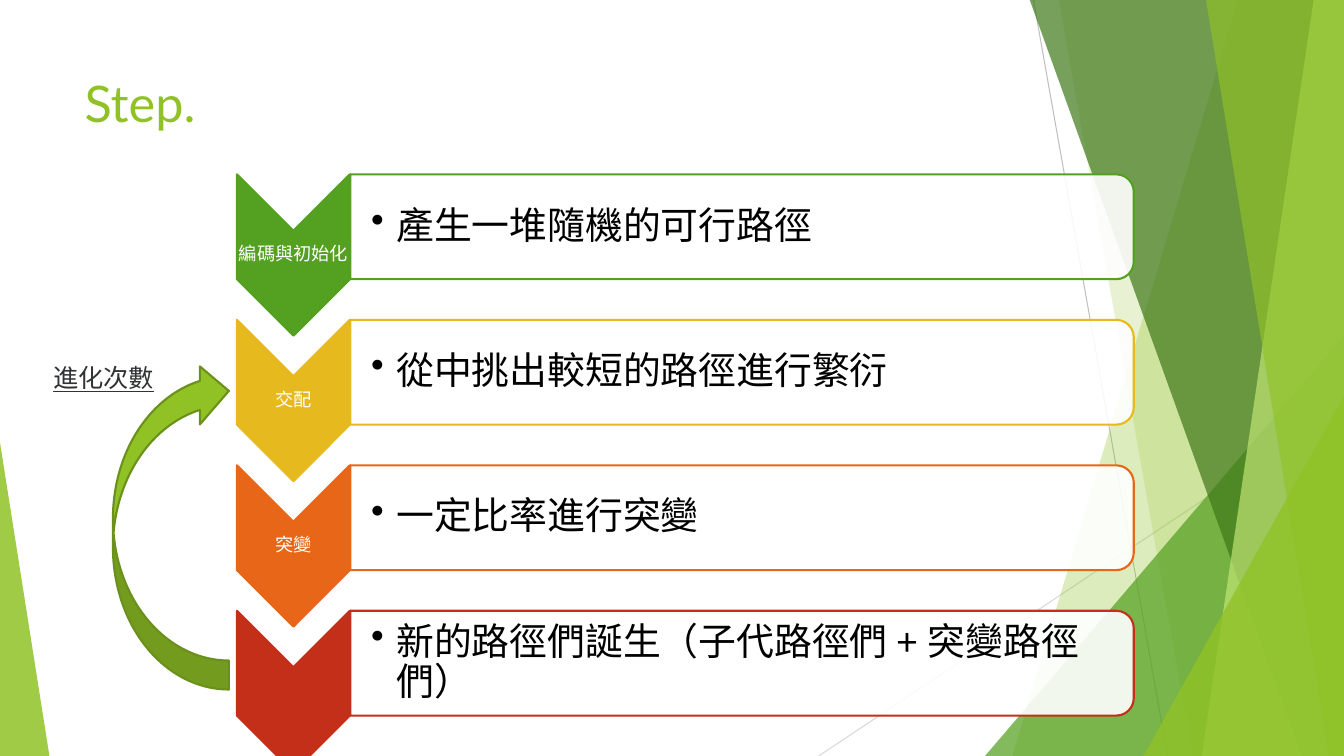
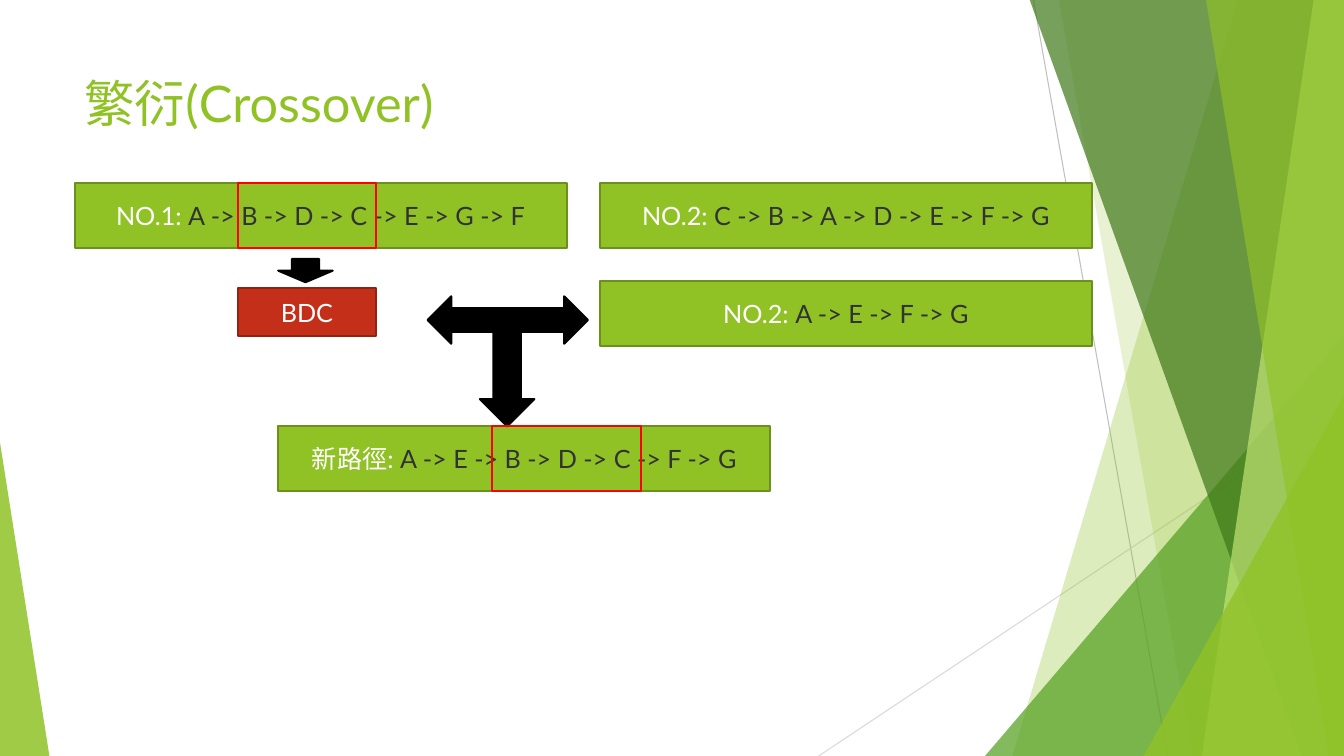
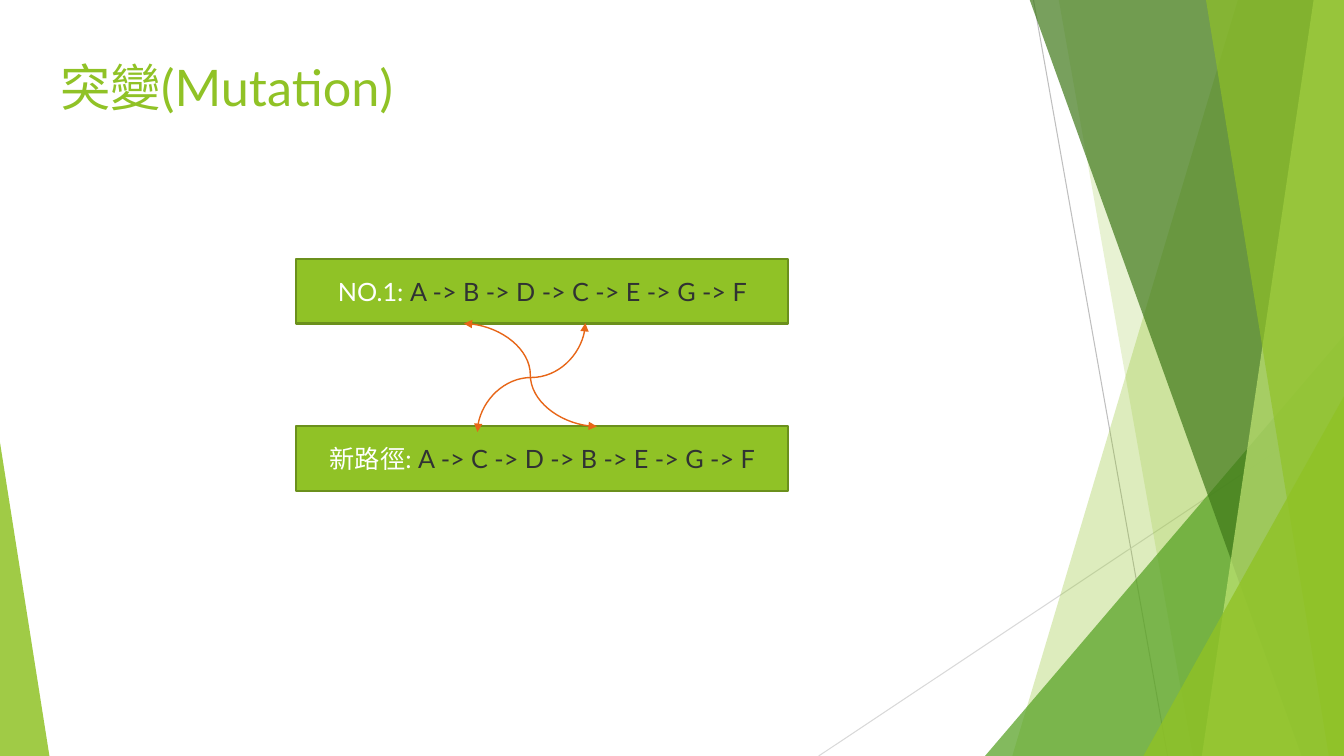
from lxml import etree
from pptx import Presentation
from pptx.dml.color import RGBColor
from pptx.enum.shapes import MSO_CONNECTOR, MSO_SHAPE
from pptx.enum.text import MSO_ANCHOR, PP_ALIGN
from pptx.oxml.ns import qn
from pptx.util import Inches, Pt

RECTANGLE, TRIANGLE = MSO_SHAPE.RECTANGLE, MSO_SHAPE.ISOSCELES_TRIANGLE
CHEVRON, ROUND_TOP = MSO_SHAPE.CHEVRON, MSO_SHAPE.ROUND_2_SAME_RECTANGLE
LOOP_ARROW = MSO_SHAPE.CURVED_LEFT_ARROW
DOWN_ARROW, TWO_WAY_ARROW = MSO_SHAPE.DOWN_ARROW, MSO_SHAPE.LEFT_RIGHT_ARROW
STRAIGHT, CURVE = MSO_CONNECTOR.STRAIGHT, MSO_CONNECTOR.CURVE
TOP, MIDDLE = MSO_ANCHOR.TOP, MSO_ANCHOR.MIDDLE
LEFT, CENTER = PP_ALIGN.LEFT, PP_ALIGN.CENTER

FONT = "Lato"
LIME = RGBColor(0x90, 0xC2, 0x26)
LIME_EDGE = RGBColor(0x6B, 0x90, 0x1C)
PALE_LIME = RGBColor(0xC0, 0xE4, 0x74)
GREEN = RGBColor(0x54, 0xA0, 0x21)
FOREST = RGBColor(0x3F, 0x78, 0x19)
GOLD = RGBColor(0xE6, 0xB9, 0x1E)
ORANGE = RGBColor(0xE7, 0x66, 0x18)
BRICK = RGBColor(0xC4, 0x2F, 0x1A)
BRICK_EDGE = RGBColor(0x91, 0x23, 0x13)
RED = RGBColor(0xFF, 0x00, 0x00)
INK = RGBColor(0x30, 0x32, 0x33)
BLACK = RGBColor(0, 0, 0)
WHITE = RGBColor(0xFF, 0xFF, 0xFF)
GRAY = RGBColor(0xBF, 0xBF, 0xBF)
LIGHT_GRAY = RGBColor(0xD9, 0xD9, 0xD9)

# Content: backdrop shared by every slide
BACKDROP_LINES = [((10.25, 0), (11.58, 7.5), GRAY), ((13.33, 4.03), (8.12, 7.5), LIGHT_GRAY)]
# Bands run to the right edge: top-left x, bottom-left x, colour, opacity
# Triangles: box, apex position, colour, opacity
BACKDROP_FACETS = [
    ("band", (12.28, 10.04), LIME, 30),
    ("band", (10.5, 11.83), LIME, 20),
    ("triangle", ((9.77, 3.33, 3.56, 4.17), 1), GREEN, 72),
    ("band", (10.21, 12.91), FOREST, 70),
    ("band", (13.03, 11.92), PALE_LIME, 70),
    ("band", (11.96, 13.18), LIME, 65),
    ("triangle", ((11.34, 3.93, 1.99, 3.57), 1), LIME, 80),
    ("triangle", ((0, 4.39, 0.49, 3.11), 0), LIME, 85),
]

# Content: slide 1
STEPS = [
    ("編碼與初始化", "產生一堆隨機的可行路徑", GREEN),
    ("交配", "從中挑出較短的路徑進行繁衍", GOLD),
    ("突變", "一定比率進行突變", ORANGE),
    ("", "新的路徑們誕生(子代路徑們 + 突變路徑們)".replace("(", "（").replace(")", "）"), BRICK),
]
STEP_TOP, STEP_PITCH = 2.53, 4.33 / 3
CHEVRON_X, PANEL_X, PANEL_RISE = 2.91, 7.36, 0.28

# Content: slides 2 and 3, routes as left, top, label, stops
ROUTE_SIZE = (4.88, 0.64)
CROSSOVER_ROUTES = [
    (0.74, 1.82, "NO.1: ", "ABDCEGF"),
    (5.95, 1.82, "NO.2: ", "CBADEFG"),
    (5.95, 2.79, "NO.2: ", "AEFG"),
    (2.76, 4.23, "新路徑: ", "AEBDCFG"),
]
CROSSOVER_ARROWS = [
    (DOWN_ARROW, (2.76, 2.57, 0.54, 0.23)),
    (TWO_WAY_ARROW, (4.24, 2.94, 1.59, 0.47)),
    (DOWN_ARROW, (4.76, 3.27, 0.54, 0.96)),
]
SEGMENT_FRAMES = [(2.36, 1.82, 1.37, 0.64), (4.88, 4.23, 1.48, 0.64)]
MUTATION_ROUTES = [
    (2.94, 2.57, "NO.1: ", "ABDCEGF"),
    (2.94, 4.23, "新路徑: ", "ACDBEGF"),
]
# Start, end, rotation in degrees
SWAP_CURVES = [((4.6, 3.21), (5.92, 4.23), 0), ((4.73, 3.21), (5.81, 4.28), 90)]


# Shared helpers
def centered(x, y, width, height):
    return x - width / 2, y - height / 2, width, height


def style_shape(shape, fill=None, edge=None, opacity=100):
    shape.shadow.inherit = False
    if fill is None:
        shape.fill.background()
    else:
        shape.fill.solid()
        shape.fill.fore_color.rgb = fill
        if opacity < 100:
            color = shape.fill._xPr.find(".//" + qn("a:srgbClr"))
            etree.SubElement(color, qn("a:alpha"), val=str(opacity * 1000))
    if edge is None:
        shape.line.fill.background()
    else:
        shape.line.color.rgb = edge
        shape.line.width = Pt(1.5)


def add_box(slide, kind, box, fill=None, edge=None, opacity=100, rotation=0):
    shape = slide.shapes.add_shape(kind, *map(Inches, box))
    shape.rotation = rotation
    style_shape(shape, fill, edge, opacity)
    return shape


def add_line(slide, kind, start, end, color, width):
    line = slide.shapes.add_connector(kind, *map(Inches, start + end))
    line.line.color.rgb = color
    line.line.width = Pt(width)
    etree.SubElement(line._element.spPr, qn("a:effectLst"))
    return line


def write(shape, runs, size, anchor=MIDDLE, align=CENTER, insets=None, wrap=True, **font_format):
    """Fill a shape with one paragraph of (text, colour) runs."""
    frame = shape.text_frame
    frame.word_wrap = wrap
    frame.vertical_anchor = anchor
    if insets:
        for side, inset in zip(("left", "top", "right", "bottom"), insets):
            setattr(frame, "margin_" + side, Inches(inset))
    paragraph = frame.paragraphs[0]
    paragraph.alignment = align
    for text, color in runs:
        run = paragraph.add_run()
        run.text = text
        run.font.color.rgb = color
        for name, value in {"name": FONT, "size": Pt(size), **font_format}.items():
            setattr(run.font, name, value)
    return paragraph


def add_text(slide, box, *args, **kwargs):
    return write(slide.shapes.add_textbox(*map(Inches, box)), *args, **kwargs)


def add_backdrop(slide):
    for start, end, color in BACKDROP_LINES:
        add_line(slide, STRAIGHT, start, end, color, 0.75)
    for kind, outline, color, opacity in BACKDROP_FACETS:
        if kind == "triangle":
            box, apex = outline
            add_box(slide, TRIANGLE, box, color, opacity=opacity).adjustments[0] = apex
            continue
        top_x, bottom_x = outline
        builder = slide.shapes.build_freeform(Inches(top_x), Inches(-0.01))
        corners = [(13.33, -0.01), (13.33, 7.5), (bottom_x, 7.5)]
        builder.add_line_segments([(Inches(x), Inches(y)) for x, y in corners], close=True)
        style_shape(builder.convert_to_shape(), color, opacity=opacity)


def add_slide(title, left=0.74, top=0.67):
    slide = presentation.slides.add_slide(presentation.slide_layouts[6])
    add_backdrop(slide)
    add_text(slide, (left, top, 9.4, 1.44), [(title, LIME)], 36, anchor=TOP, align=LEFT)
    return slide


def add_routes(slide, routes):
    for left, top, label, stops in routes:
        bar = add_box(slide, RECTANGLE, (left, top, *ROUTE_SIZE), LIME, LIME_EDGE)
        write(bar, [(label, WHITE), (" -> ".join(stops), INK)], 18)


def add_bullet(paragraph):
    properties = paragraph._p.get_or_add_pPr()
    properties.set("marL", str(Inches(0.25)))
    properties.set("indent", str(-Inches(0.25)))
    etree.SubElement(properties, qn("a:buChar"), char="•")


presentation = Presentation()
presentation.slide_width, presentation.slide_height = Inches(13.33), Inches(7.5)

# Slide 1: steps
slide = add_slide("Step.")
for index, (label, description, color) in enumerate(STEPS):
    y = STEP_TOP + index * STEP_PITCH
    panel_y = y - PANEL_RISE
    add_box(slide, CHEVRON, centered(CHEVRON_X, y, 1.6, 1.12), color, color, rotation=90)
    if label:
        paragraph = add_text(slide, centered(CHEVRON_X, y, 1.12, 0.48), [(label, WHITE)], 13,
                             insets=[0.01] * 4)
        paragraph.line_spacing = 0.9
    add_box(slide, ROUND_TOP, centered(PANEL_X, panel_y, 1.04, 7.77), WHITE, color, 90, 90)
    paragraph = add_text(slide, centered(PANEL_X - 0.03, panel_y, 7.72, 0.94),
                         [(description, BLACK)], 27, align=LEFT, insets=[0.21, 0.02, 0.02, 0.02])
    paragraph.line_spacing = 0.9
    add_bullet(paragraph)
add_box(slide, LOOP_ARROW, (1.12, 3.59, 1.15, 3.25), LIME, LIME_EDGE, rotation=180)
add_text(slide, (0.43, 3.55, 1.21, 0.4), [("進化次數", INK)], 18, anchor=TOP, align=LEFT,
         wrap=False, underline=True)

# Slide 2: crossover
slide = add_slide("繁衍(Crossover)")
add_routes(slide, CROSSOVER_ROUTES)
segment = add_box(slide, RECTANGLE, (2.36, 2.86, 1.37, 0.47), BRICK, BRICK_EDGE)
write(segment, [("BDC", WHITE)], 18)
for kind, box in CROSSOVER_ARROWS:
    add_box(slide, kind, box, BLACK, BLACK)
for box in SEGMENT_FRAMES:
    add_box(slide, RECTANGLE, box, edge=RED)

# Slide 3: mutation
slide = add_slide("突變(Mutation)", 0.5, 0.51)
add_routes(slide, MUTATION_ROUTES)
for start, end, rotation in SWAP_CURVES:
    curve = add_line(slide, CURVE, start, end, ORANGE, 1)
    if rotation:
        curve._element.spPr.find(qn("a:xfrm")).set("rot", str(rotation * 60000))
    for arrowhead in ("a:headEnd", "a:tailEnd"):
        etree.SubElement(curve.line._get_or_add_ln(), qn(arrowhead), type="triangle")

presentation.save("out.pptx")
